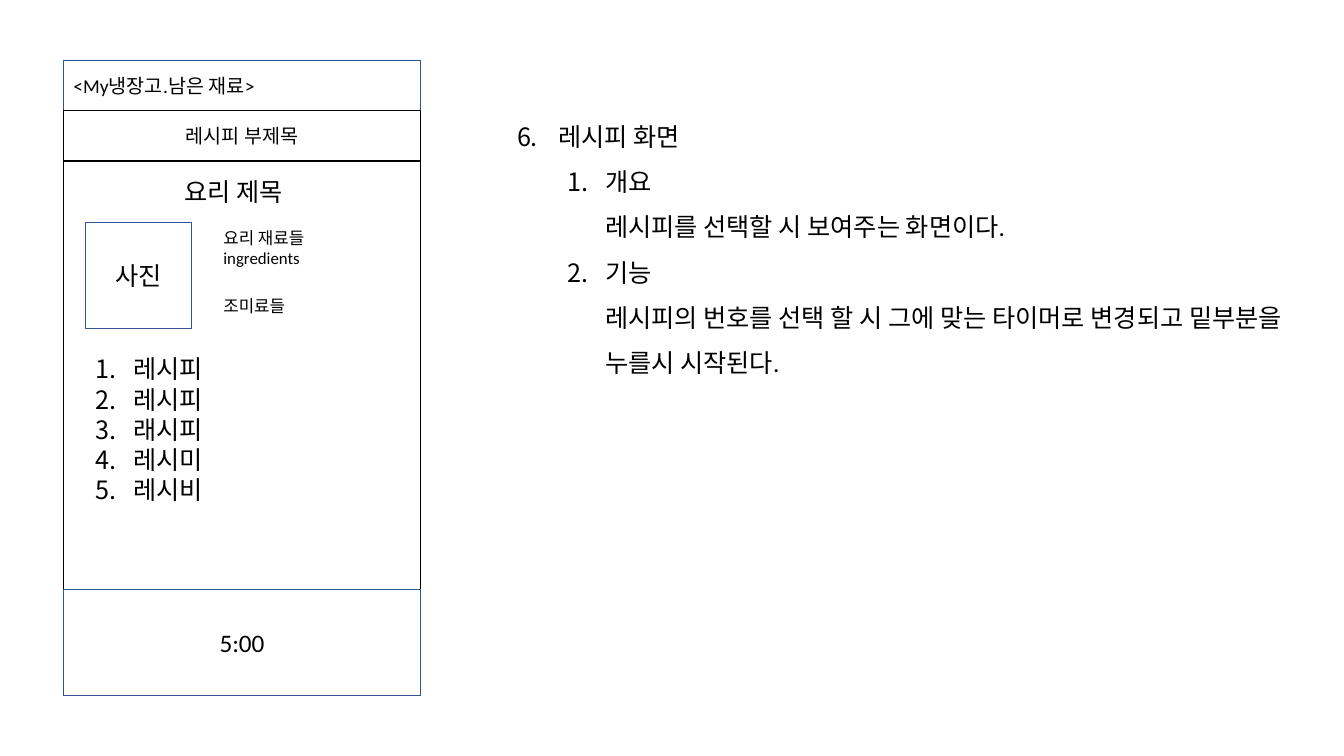
from dataclasses import dataclass

from lxml.etree import SubElement
from pptx import Presentation
from pptx.dml.color import RGBColor
from pptx.enum.shapes import MSO_SHAPE
from pptx.enum.text import MSO_ANCHOR, MSO_AUTO_SIZE, PP_ALIGN
from pptx.oxml.ns import qn
from pptx.util import Cm, Pt


@dataclass(frozen=True)
class Theme:
    """Colours, font and type sizes of the slide."""
    ink: RGBColor = RGBColor(0, 0, 0)
    accent: RGBColor = RGBColor(0x32, 0x54, 0x91)
    paper: RGBColor = RGBColor(0xFF, 0xFF, 0xFF)
    font: str = "Calibri"
    body: int = 18
    bar: int = 14
    small: int = 12


class Wireframe:
    """Draws styled elements on one slide."""

    def __init__(self, slide, theme):
        """Keep the slide and its theme."""
        self.slide = slide
        self.theme = theme

    def style(self, frame, size):
        """Give every run the theme font and colour."""
        for paragraph in frame.paragraphs:
            for run in paragraph.runs:
                run.font.name = self.theme.font
                run.font.size = Pt(size)
                run.font.color.rgb = self.theme.ink

    def panel(self, left, top, width, height, line, text="", size=18,
              align=PP_ALIGN.CENTER, filled=False):
        """Add an outlined rectangle with vertically centred text."""
        panel = self.slide.shapes.add_shape(
            MSO_SHAPE.RECTANGLE, Cm(left), Cm(top), Cm(width), Cm(height))
        panel.shadow.inherit = False
        if filled:
            panel.fill.solid()
            panel.fill.fore_color.rgb = self.theme.paper
        else:
            panel.fill.background()
        panel.line.color.rgb = line
        panel.line.width = Pt(1)
        frame = panel.text_frame
        frame.word_wrap = True
        frame.vertical_anchor = MSO_ANCHOR.MIDDLE
        frame.text = text
        frame.paragraphs[0].alignment = align
        self.style(frame, size)

    def label(self, left, top, width, height, text, size):
        """Add a wrapping text box and return its text frame."""
        label = self.slide.shapes.add_textbox(
            Cm(left), Cm(top), Cm(width), Cm(height))
        frame = label.text_frame
        frame.word_wrap = True
        frame.auto_size = MSO_AUTO_SIZE.SHAPE_TO_FIT_TEXT
        frame.text = text
        self.style(frame, size)
        return frame

    def number(self, paragraph, margin, hanging, start=1):
        """Number a paragraph automatically with a hanging indent."""
        properties = paragraph._p.get_or_add_pPr()
        properties.set("marL", str(Cm(margin)))
        properties.set("indent", str(-Cm(hanging)))
        numbering = SubElement(properties, qn("a:buAutoNum"), type="arabicPeriod")
        if start > 1:
            numbering.set("startAt", str(start))


SCREEN_LEFT, SCREEN_TOP, SCREEN_WIDTH, SCREEN_HEIGHT = 1.6, 1.52, 9, 16
BAR_HEIGHT, TIMER_HEIGHT = 1.27, 2.67
CONTENT_LEFT, INGREDIENTS_LEFT, CONTENT_TOP = 2.16, 5.38, 5.61
HANGING = 0.95


def draw_phone(wireframe):
    """Draw the recipe screen mock-up."""
    theme = wireframe.theme
    wireframe.panel(SCREEN_LEFT, SCREEN_TOP, SCREEN_WIDTH, SCREEN_HEIGHT, theme.ink)
    wireframe.panel(SCREEN_LEFT, SCREEN_TOP, SCREEN_WIDTH, BAR_HEIGHT, theme.accent,
                    "<My냉장고.남은 재료>", theme.bar, PP_ALIGN.LEFT)
    wireframe.panel(SCREEN_LEFT, SCREEN_TOP + BAR_HEIGHT, SCREEN_WIDTH, BAR_HEIGHT,
                    theme.ink, "레시피 부제목", theme.bar)
    wireframe.panel(CONTENT_LEFT, CONTENT_TOP, 2.67, 2.67, theme.accent,
                    "사진", theme.body, filled=True)
    wireframe.label(4.4, 4.32, 3.45, 1.02, "요리 제목", theme.body)
    wireframe.label(INGREDIENTS_LEFT, CONTENT_TOP, 3.45, 1.27,
                    "요리 재료들\vingredients", theme.small)
    wireframe.label(INGREDIENTS_LEFT, 7.34, 3.45, 0.76, "조미료들", theme.small)
    steps = wireframe.label(CONTENT_LEFT, 8.79, 7.75, 4.11,
                            "레시피\n레시피\n래시피\n레시미\n레시비", theme.body)
    for step in steps.paragraphs:
        wireframe.number(step, HANGING, HANGING)
    wireframe.panel(SCREEN_LEFT, SCREEN_TOP + SCREEN_HEIGHT - TIMER_HEIGHT,
                    SCREEN_WIDTH, TIMER_HEIGHT, theme.accent, "5:00",
                    theme.body, filled=True)


def draw_description(wireframe):
    """Write the numbered explanation beside the screen."""
    description = wireframe.label(
        12.78, 2.54, 20.29, 7.06,
        "레시피 화면\n"
        "개요\v레시피를 선택할 시 보여주는 화면이다.\n"
        "기능\v레시피의 번호를 선택 할 시 그에 맞는 타이머로 변경되고 "
        "밑부분을 누를시 시작된다.", wireframe.theme.body)
    heading, *details = description.paragraphs
    for paragraph in description.paragraphs:
        paragraph.line_spacing = 1.5
    wireframe.number(heading, 1.04, 1.04, start=6)
    for detail in details:
        detail.level = 1
        wireframe.number(detail, 2.22, HANGING)


def main():
    """Build and save the slide."""
    presentation = Presentation()
    presentation.slide_width = Cm(33.87)
    presentation.slide_height = Cm(19.05)
    slide = presentation.slides.add_slide(presentation.slide_layouts[6])
    wireframe = Wireframe(slide, Theme())
    draw_phone(wireframe)
    draw_description(wireframe)
    presentation.save("out.pptx")


main()
